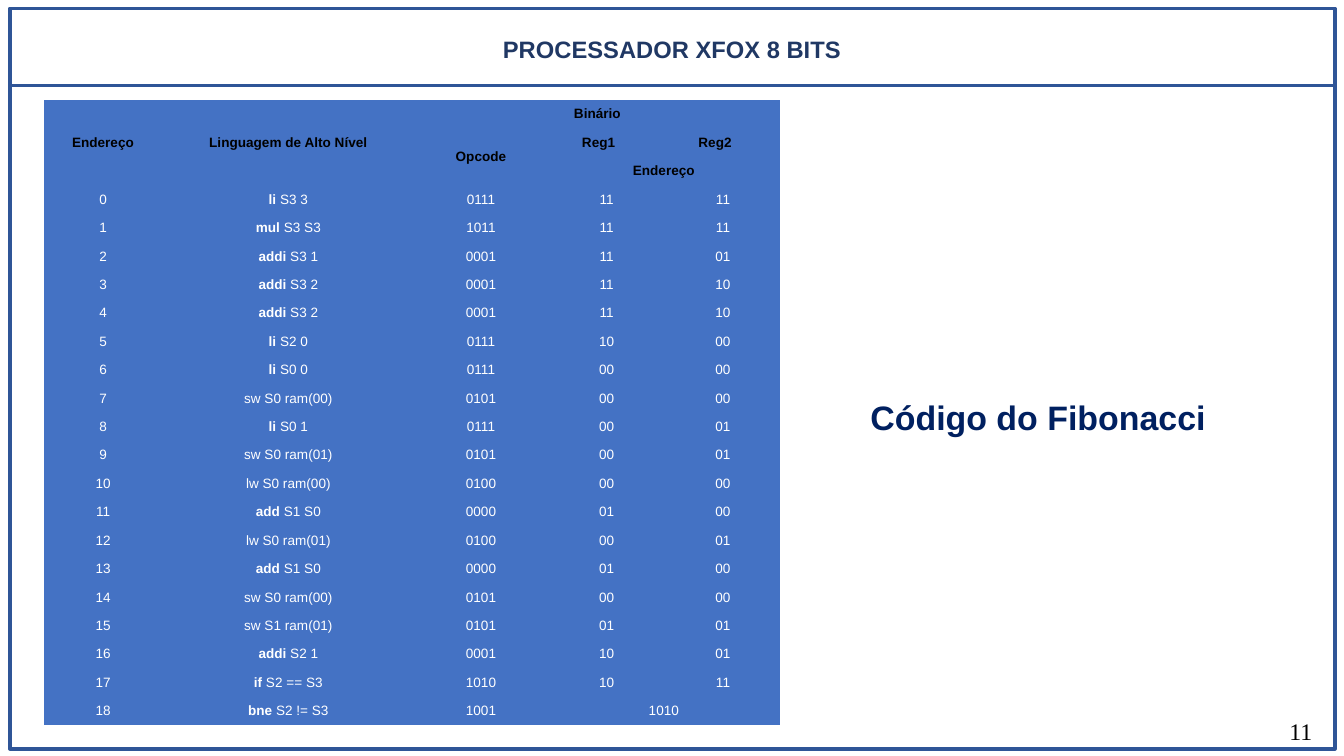
from pptx import Presentation, util as u
from pptx.dml.color import RGBColor
from pptx.enum import shapes, text
from pptx.oxml import parse_xml
from pptx.oxml.ns import nsdecls

WIDE, HIGH = u.Inches(11.02), u.Inches(6.2)
NAVY, EDGE, BLUE = "203864", "2F5597", "4472C4"
PLAIN = "{2D5ABB26-0587-4C30-8999-92F81FD0307C}"
COLS = [8.8, 18.78, 9.89, 7.62, 1.18, 8.53]
HEADS = [
    (0, 0, 2, 0, "Endereço"),
    (0, 1, 2, 1, "Linguagem de Alto Nível"),
    (0, 2, 0, 5, "Binário"),
    (1, 2, 2, 2, "Opcode"),
    (1, 3, 1, 3, "Reg1"),
    (1, 4, 1, 5, "Reg2"),
    (2, 3, 2, 5, "Endereço"),
]
CODE = [
    ("li S3 3", "0111", "11", "11"),
    ("mul S3 S3", "1011", "11", "11"),
    ("addi S3 1", "0001", "11", "01"),
    ("addi S3 2", "0001", "11", "10"),
    ("addi S3 2", "0001", "11", "10"),
    ("li S2 0", "0111", "10", "00"),
    ("li S0 0", "0111", "00", "00"),
    ("sw S0 ram(00)", "0101", "00", "00"),
    ("li S0 1", "0111", "00", "01"),
    ("sw S0 ram(01)", "0101", "00", "01"),
    ("lw S0 ram(00)", "0100", "00", "00"),
    ("add S1 S0", "0000", "01", "00"),
    ("lw S0 ram(01)", "0100", "00", "01"),
    ("add S1 S0", "0000", "01", "00"),
    ("sw S0 ram(00)", "0101", "00", "00"),
    ("sw S1 ram(01)", "0101", "01", "01"),
    ("addi S2 1", "0001", "10", "01"),
    ("if S2 == S3", "1010", "10", "11"),
    ("bne S2 != S3", "1001", "1010"),
]


def color(code):
    """Turn a hex string into a colour."""
    return RGBColor.from_string(code)


def across(share):
    """Give a percentage of the slide's width."""
    return int(WIDE * share / 100)


def down(share):
    """Give a percentage of the slide's height."""
    return int(HIGH * share / 100)


def box(x, y, w, h):
    """Turn percentages of the slide into left, top, width and height."""
    return across(x), down(y), across(w), down(h)


def style(para, size, ink, bold=False, face="Arial", align="CENTER"):
    """Set the font and alignment of a paragraph."""
    para.alignment = getattr(text.PP_ALIGN, align)
    font = para.font
    font.name, font.size, font.bold = face, u.Pt(size), bold
    font.color.rgb = color(ink)


def write(frame, words, *look):
    """Fill a text frame with one styled line and no margins."""
    frame.text = words
    frame.word_wrap = True
    frame.auto_size = text.MSO_AUTO_SIZE.NONE
    frame.vertical_anchor = text.MSO_ANCHOR.MIDDLE
    frame.margin_left = frame.margin_right = 0
    frame.margin_top = frame.margin_bottom = 0
    style(frame.paragraphs[0], *look)


def label(slide, place, words, *look):
    """Add a text box with one styled line."""
    write(slide.shapes.add_textbox(*place).text_frame, words, *look)


def head(slide, words):
    """Place and format the title."""
    title = slide.shapes.title
    title.left, title.top, title.width, title.height = box(5, 4.03, 90, 4.84)
    write(title.text_frame, words, 14, NAVY, True)


def border(slide):
    """Draw the outer frame and the rule under the title."""
    frame = slide.shapes.add_shape(
        shapes.MSO_SHAPE.RECTANGLE, *box(0.73, 1.13, 98.6, 97.9))
    frame.shadow.inherit = False
    frame.fill.background()
    rule = slide.shapes.add_connector(
        shapes.MSO_CONNECTOR.STRAIGHT,
        across(0.73), down(11.29), across(99.33), down(11.29))
    rule._element.spPr.append(parse_xml(f"<a:effectLst {nsdecls('a')}/>"))
    for shape, width in ((frame, 2.25), (rule, 2)):
        shape.line.color.rgb = color(EDGE)
        shape.line.width = u.Pt(width)


def fill(cell, words, ink, bold=False):
    """Write one styled line into a table cell."""
    cell.text = words
    style(cell.text_frame.paragraphs[0], 8, ink, bold)


def order(cell, words):
    """Write an instruction, bold in its name unless it uses memory."""
    fill(cell, "", "FFFFFF")
    name, rest = words.split(" ", 1)
    para = cell.text_frame.paragraphs[0]
    lead = para.add_run()
    lead.text = name
    lead.font.bold = name not in ("sw", "lw")
    para.add_run().text = " " + rest


def grid(slide):
    """Add the table of instructions and their binary codes."""
    count = 3 + len(CODE)
    table = slide.shapes.add_table(
        count, len(COLS), *box(3.27, 13.23, sum(COLS), 82.74)).table
    table._tbl.tblPr.find("{*}tableStyleId").text = PLAIN
    table.first_row = table.horz_banding = False
    for col, share in zip(table.columns, COLS):
        col.width = across(share)
    for row in table.rows:
        row.height = down(82.74 / count)
    for cell in table.iter_cells():
        cell.fill.solid()
        cell.fill.fore_color.rgb = color(BLUE)
        cell.margin_top = cell.margin_bottom = u.Inches(0.04)
        cell.vertical_anchor = text.MSO_ANCHOR.MIDDLE
        style(cell.text_frame.paragraphs[0], 8, "FFFFFF")
    for top, left, low, right, words in HEADS:
        cell = table.cell(top, left)
        if (top, left) != (low, right):
            cell.merge(table.cell(low, right))
        fill(cell, words, "000000", True)
    for num, (words, code, *regs) in enumerate(CODE):
        row = num + 3
        fill(table.cell(row, 0), str(num), "FFFFFF")
        order(table.cell(row, 1), words)
        fill(table.cell(row, 2), code, "FFFFFF")
        last = 4 if len(regs) == 2 else 5
        table.cell(row, 3).merge(table.cell(row, last))
        for col, reg in zip((3, 5), regs):
            fill(table.cell(row, col), reg, "FFFFFF")


def main():
    """Build and save the slide."""
    deck = Presentation()
    deck.slide_width, deck.slide_height = WIDE, HIGH
    slide = deck.slides.add_slide(deck.slide_layouts[5])
    head(slide, "PROCESSADOR XFOX 8 BITS")
    border(slide)
    label(slide, box(60, 51.9, 34.5, 6.45), "Código do Fibonacci",
          20, "002060", True)
    label(slide, box(74.32, 94.4, 23.32, 4.5), "11",
          14, "000000", False, "Times New Roman", "RIGHT")
    grid(slide)
    deck.save("out.pptx")


if __name__ == "__main__":
    main()
